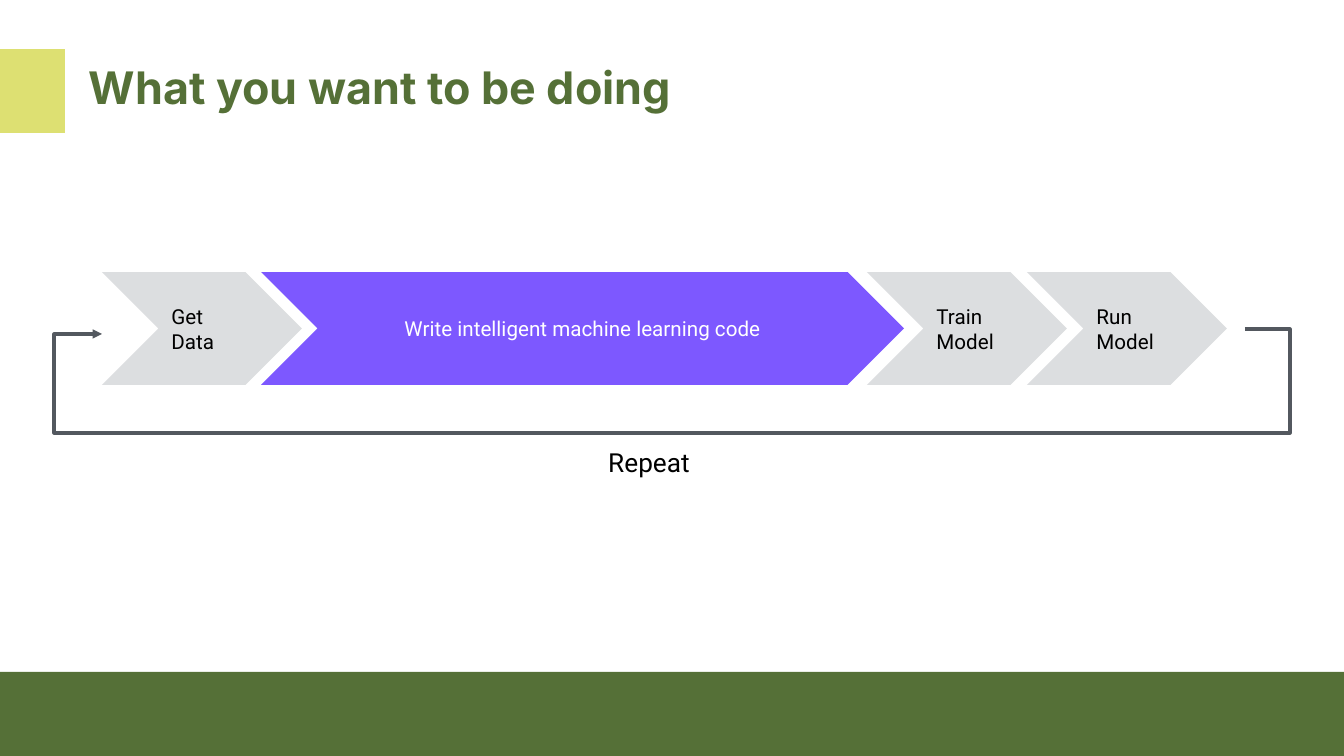
from dataclasses import dataclass

from lxml.etree import SubElement
from pptx import Presentation
from pptx.dml.color import RGBColor
from pptx.enum.shapes import MSO_SHAPE as Shape
from pptx.enum.text import MSO_ANCHOR as Anchor, PP_ALIGN as Align
from pptx.oxml.ns import qn
from pptx.util import Pt

PX = 914400 / 100.8  # EMU in one px


def px(length):
    return round(length * PX)


@dataclass(frozen=True)
class Theme:
    green: str = "557037"
    lime: str = "DDE072"
    grey: str = "DCDEE0"
    violet: str = "7D58FF"
    slate: str = "53585F"
    black: str = "000000"
    white: str = "FFFFFF"
    heading_font: str = "Inter"
    body_font: str = "Roboto"
    title_size: float = 32
    step_size: float = 14.7
    label_size: float = 18.7
    loop_width: float = 2.25


class SlideBuilder:
    def __init__(self, slide, theme):
        self.slide = slide
        self.theme = theme

    def block(self, kind, box, color):
        shape = self.slide.shapes.add_shape(kind, *map(px, box))
        shape.shadow.inherit = False
        shape.fill.solid()
        shape.fill.fore_color.rgb = RGBColor.from_string(color)
        shape.line.fill.background()
        return shape

    def set_text(self, shape, lines, size, color, font=None, bold=False,
                 align=Align.LEFT, anchor=Anchor.TOP, inset=13):
        frame = shape.text_frame
        frame.word_wrap = True
        frame.vertical_anchor = anchor
        frame.margin_left = frame.margin_right = px(13)
        frame.margin_top = frame.margin_bottom = px(inset)
        paragraph = frame.paragraphs[0]
        paragraph.alignment = align
        for index, line in enumerate(lines):
            if index:
                paragraph.add_line_break()
            run = paragraph.add_run()
            run.text = line
            run.font.name = font or self.theme.body_font
            run.font.size = Pt(size)
            run.font.bold = bold
            run.font.color.rgb = RGBColor.from_string(color)

    def text(self, box, line, size, color, **style):
        textbox = self.slide.shapes.add_textbox(*map(px, box))
        self.set_text(textbox, [line], size, color, **style)

    def step(self, box, lines, fill, color, align):
        chevron = self.block(Shape.CHEVRON, box, fill)
        chevron.adjustments[0] = 0.5
        self.set_text(chevron, lines, self.theme.step_size, color,
                      align=align, anchor=Anchor.MIDDLE)

    def arrow(self, points, color, width):
        start, *rest = [(px(x), px(y)) for x, y in points]
        builder = self.slide.shapes.build_freeform(*start)
        builder.add_line_segments(rest, close=False)
        arrow = builder.convert_to_shape()
        arrow.shadow.inherit = False
        arrow.fill.background()
        arrow.line.color.rgb = RGBColor.from_string(color)
        arrow.line.width = Pt(width)
        outline = arrow.element.spPr.find(qn("a:ln"))
        SubElement(outline, qn("a:tailEnd"), type="triangle")


def main():
    theme = Theme()
    deck = Presentation()
    deck.slide_width, deck.slide_height = px(1344), px(756)
    page = SlideBuilder(deck.slides.add_slide(deck.slide_layouts[6]), theme)

    # Title and colour bands
    page.block(Shape.RECTANGLE, (0, 49, 65, 84), theme.lime)
    page.block(Shape.RECTANGLE, (0, 672, 1344, 84), theme.green)
    page.text((76, 53, 1046, 68), "What you want to be doing", theme.title_size,
              theme.green, font=theme.heading_font, bold=True, inset=7)

    # Workflow steps
    quiet = (theme.grey, theme.black, Align.LEFT)
    focus = (theme.violet, theme.white, Align.CENTER)
    steps = [
        (102, 200, ["Get Data"], quiet),
        (261, 643, ["Write intelligent machine learning code"], focus),
        (867, 200, ["Train Model"], quiet),
        (1027, 200, ["Run", "Model"], quiet),
    ]
    for left, width, lines, look in steps:
        page.step((left, 272, width, 113), lines, *look)

    # Loop back to the first step
    loop = [(1245, 329), (1290, 329), (1290, 433), (54, 433), (54, 334), (102, 334)]
    page.arrow(loop, theme.slate, theme.loop_width)
    page.text((540, 433, 218, 51), "Repeat", theme.label_size, theme.black,
              align=Align.CENTER)

    deck.save("out.pptx")


if __name__ == "__main__":
    main()
